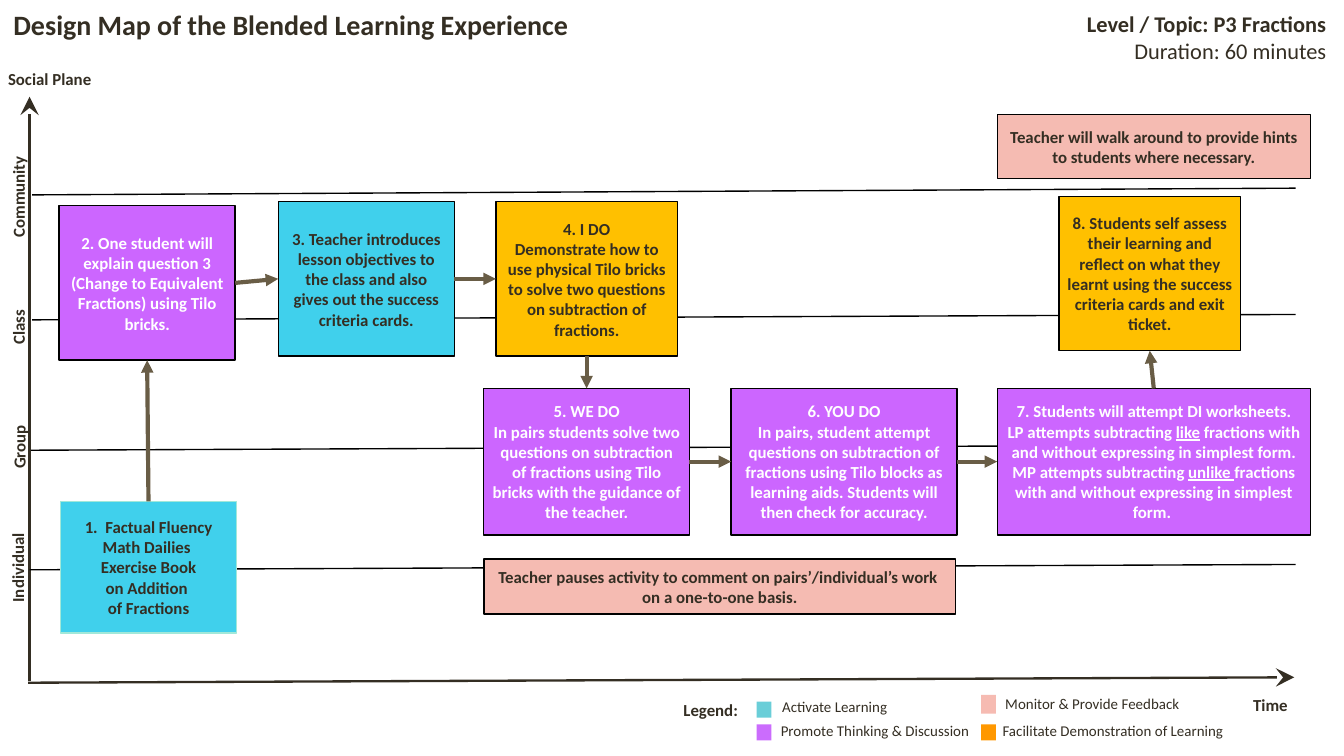
"""Build the design map slide of a blended learning lesson."""
from lxml import etree
from pptx import Presentation
from pptx.dml.color import RGBColor
from pptx.enum.shapes import MSO_CONNECTOR, MSO_SHAPE
from pptx.enum.text import MSO_ANCHOR, PP_ALIGN
from pptx.oxml.ns import qn
from pptx.util import Inches, Pt

RECTANGLE = MSO_SHAPE.RECTANGLE
STRAIGHT = MSO_CONNECTOR.STRAIGHT
LEFT, CENTER, RIGHT = PP_ALIGN.LEFT, PP_ALIGN.CENTER, PP_ALIGN.RIGHT
TOP, MIDDLE = MSO_ANCHOR.TOP, MSO_ANCHOR.MIDDLE
TOP_SITE, LEFT_SITE, BOTTOM_SITE, RIGHT_SITE = range(4)

FONT = "Calibri"
INK, WHITE, BLACK, BROWN = "342E23", "FFFFFF", "000000", "695D46"
CYAN, PURPLE, AMBER, PINK = "40D0EC", "CC66FF", "FFC000", "F5BBB2"
UNDERLINE_MARK = "_"

AXES = [((0.21, 5.08), (9.63, 5.04)), ((0.22, 5.07), (0.22, 0.72))]
PLANE_DIVIDERS = [
    ((0.24, 1.45), (9.64, 1.4)),
    ((0.24, 2.38), (9.64, 2.34)),
    ((0.23, 3.35), (9.55, 3.31)),
    ((0.22, 4.24), (9.64, 4.2)),
]
PLANES = [
    ("Community", (-0.28, 1.38, 0.79, 0.17)),
    ("Class", (-0.19, 2.35, 0.61, 0.17)),
    ("Group", (-0.16, 3.22, 0.6, 0.21)),
    ("Individual", (-0.26, 4.12, 0.78, 0.21)),
]
CAPTIONS = [
    ("Social Plane", (0, 0.48, 0.81, 0.17), LEFT),
    ("Time", (9.15, 5.14, 0.49, 0.18), RIGHT),
    ("Legend:", (4.71, 5.18, 0.84, 0.21), RIGHT),
]
LEGEND = [
    ("Activate Learning", "6ACED8", (5.63, 5.22, 0.11, 0.12), (5.76, 5.16, 1.42, 0.23)),
    ("Promote Thinking & Discussion", "CB6CFD", (5.63, 5.39, 0.11, 0.12), (5.75, 5.34, 1.63, 0.19)),
    ("Monitor & Provide Feedback", "F6BBB2", (7.3, 5.17, 0.11, 0.14), (7.42, 5.14, 1.8, 0.17)),
    ("Facilitate Demonstration of Learning", "FF9800", (7.3, 5.39, 0.11, 0.12), (7.4, 5.34, 1.86, 0.28)),
]
TITLE = "Design Map of the Blended Learning Experience"
TOPIC = ["Level / Topic: P3 Fractions", "Duration: 60 minutes"]

STEPS = [
    (CYAN, (0.45, 3.73, 1.31, 0.98),
     ["1.  Factual Fluency", "Math Dailies ", "Exercise Book", "on Addition ", "of Fractions"]),
    (PURPLE, (0.44, 1.53, 1.31, 1.15),
     ["2. One student will explain question 3 (Change to Equivalent Fractions) using Tilo bricks."]),
    (CYAN, (2.07, 1.5, 1.31, 1.15),
     ["3. Teacher introduces lesson objectives to the class and also gives out the success criteria cards."]),
    (AMBER, (3.69, 1.5, 1.35, 1.15),
     ["4. I DO",
      "Demonstrate how to use physical Tilo bricks to solve two questions on subtraction of fractions."]),
    (PURPLE, (3.6, 2.89, 1.53, 1.09),
     ["5. WE DO",
      "In pairs students solve two questions on subtraction of fractions using Tilo bricks "
      "with the guidance of the teacher."]),
    (PURPLE, (5.44, 2.89, 1.68, 1.09),
     ["6. YOU DO",
      "In pairs, student attempt questions on subtraction of fractions using Tilo blocks "
      "as learning aids. Students will then check for accuracy."]),
    (PURPLE, (7.42, 2.89, 2.33, 1.09),
     ["7. Students will attempt DI worksheets.",
      "LP attempts subtracting _like_ fractions with and without expressing in simplest form.",
      "MP attempts subtracting _unlike _fractions with and without expressing in simplest form. "]),
    (AMBER, (7.88, 1.46, 1.35, 1.15),
     ["8. Students self assess their learning and reflect on what they learnt using the "
      "success criteria cards and exit ticket."]),
]
STEP_EXITS = [
    (TOP_SITE, BOTTOM_SITE), (RIGHT_SITE, LEFT_SITE), (RIGHT_SITE, LEFT_SITE), (BOTTOM_SITE, TOP_SITE),
    (RIGHT_SITE, LEFT_SITE), (RIGHT_SITE, LEFT_SITE), (TOP_SITE, BOTTOM_SITE),
]
FEEDBACK = [
    ((3.6, 4.16, 3.51, 0.41),
     ["Teacher pauses activity to comment on pairs’/individual’s work ", "on a one-to-one basis."]),
    ((7.42, 0.85, 2.33, 0.48),
     ["Teacher will walk around to provide hints to students where necessary."]),
]


def rgb(value):
    return RGBColor.from_string(value)


def inches(values):
    return [Inches(value) for value in values]


def write(shape, lines, size=9, color=INK, bold=True, align=CENTER, anchor=TOP, insets=(0.06, 0.03)):
    frame = shape.text_frame
    frame.word_wrap = True
    frame.vertical_anchor = anchor
    frame.margin_left = frame.margin_right = Inches(insets[0])
    frame.margin_top = frame.margin_bottom = Inches(insets[1])
    for number, line in enumerate(lines):
        paragraph = frame.add_paragraph() if number else frame.paragraphs[0]
        paragraph.alignment = align
        for part, words in enumerate(line.split(UNDERLINE_MARK)):
            run = paragraph.add_run()
            run.text = words
            font = run.font
            font.name, font.size, font.bold = FONT, Pt(size), bold
            font.color.rgb = rgb(color)
            if part % 2:
                font.underline = True


def add_label(slide, place, lines, rotation=0, **style):
    label = slide.shapes.add_textbox(*inches(place))
    label.rotation = rotation
    write(label, lines, **style)
    return label


def add_box(slide, place, fill, outline=None):
    box = slide.shapes.add_shape(RECTANGLE, *inches(place))
    box.shadow.inherit = False
    box.fill.solid()
    box.fill.fore_color.rgb = rgb(fill)
    if outline:
        box.line.color.rgb = rgb(outline)
        box.line.width = Pt(0.75)
    else:
        box.line.fill.background()
    return box


def add_line(slide, start, end, color, width, head=None, head_size="med"):
    line = slide.shapes.add_connector(STRAIGHT, *inches(start + end))
    line.line.color.rgb = rgb(color)
    line.line.width = Pt(width)
    properties = line.element.spPr
    if head:
        outline = properties.find(qn("a:ln"))
        etree.SubElement(outline, qn("a:tailEnd"), type=head, w=head_size, len=head_size)
    etree.SubElement(properties, qn("a:effectLst"))
    return line


def main():
    deck = Presentation()
    deck.slide_width, deck.slide_height = Inches(10), Inches(10) * 9 // 16
    slide = deck.slides.add_slide(deck.slide_layouts[6])

    for start, end in AXES:
        add_line(slide, start, end, INK, 1.25, "stealth", "lg")
    for start, end in PLANE_DIVIDERS:
        add_line(slide, start, end, BLACK, 0.75)
    for plane, place in PLANES:
        add_label(slide, place, [plane], rotation=270)
    for caption, place, align in CAPTIONS:
        add_label(slide, place, [caption], align=align)
    for meaning, fill, swatch_place, place in LEGEND:
        add_box(slide, swatch_place, fill)
        add_label(slide, place, [meaning], size=8, bold=False, align=LEFT)

    heading = {"anchor": MIDDLE, "insets": (0.04, 0.02)}
    add_label(slide, (0.06, 0.02, 5.4, 0.32), [TITLE], size=15, align=LEFT, **heading)
    topic = add_label(slide, (6.71, 0.02, 3.2, 0.51), TOPIC, size=12, align=RIGHT, **heading)
    topic.text_frame.paragraphs[1].runs[0].font.bold = False

    steps = []
    for number, (fill, place, lines) in enumerate(STEPS):
        step = add_box(slide, place, fill, BLACK if number else "A1E8D9")
        write(step, lines, color=WHITE if fill == PURPLE else INK, anchor=MIDDLE)
        steps.append(step)
    for place, lines in FEEDBACK:
        write(add_box(slide, place, PINK, BLACK), lines, anchor=MIDDLE)
    for step, following, (exit_site, entry_site) in zip(steps, steps[1:], STEP_EXITS):
        arrow = add_line(slide, (0, 0), (1, 1), BROWN, 2.25, "triangle")
        arrow.begin_connect(step, exit_site)
        arrow.end_connect(following, entry_site)

    deck.save("out.pptx")


if __name__ == "__main__":
    main()
